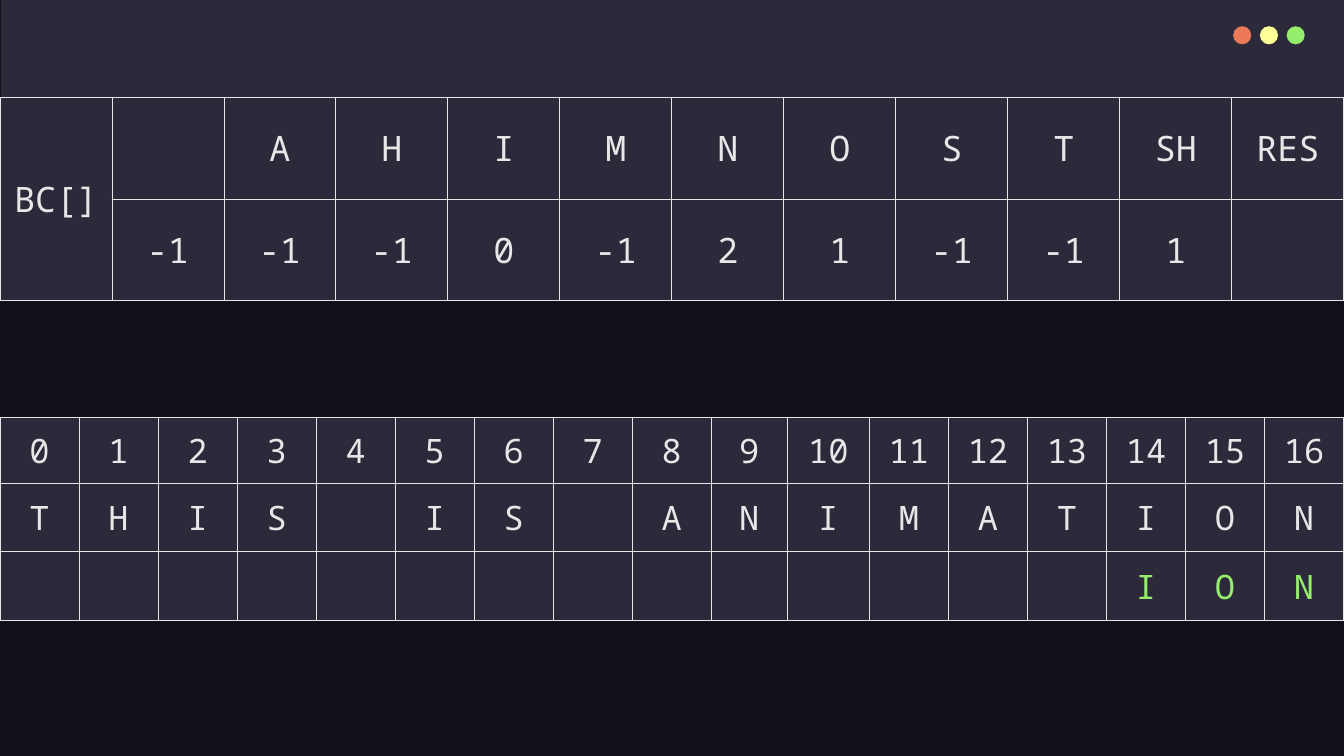
from lxml import etree
from pptx import Presentation
from pptx.dml.color import RGBColor
from pptx.enum.shapes import MSO_SHAPE
from pptx.enum.text import MSO_ANCHOR, PP_ALIGN
from pptx.oxml.ns import qn
from pptx.util import Inches, Pt

RECT, OVAL = MSO_SHAPE.RECTANGLE, MSO_SHAPE.OVAL
MIDDLE, CENTER = MSO_ANCHOR.MIDDLE, PP_ALIGN.CENTER

COLORS = {
    "back": "10111A", "panel": "2C293A", "light": "E7E7E7",
    "red": "EC7955", "yellow": "FFFF99", "green": "94EE6B",
}
BLANK_LAYOUT = 6


def rgb(name):
    return RGBColor.from_string(COLORS[name])


class Deck:
    """Style and current slide; lengths are percent of the slide's size."""
    font = "Noto Sans Mono"
    border = Pt(0.75)
    pad_x, pad_y = Inches(0.13), Inches(0.1)

    def __init__(self):
        self.prs = Presentation()
        self.prs.slide_width, self.prs.slide_height = Inches(13.33), Inches(7.5)
        self.s = self.prs.slides.add_slide(self.prs.slide_layouts[BLANK_LAYOUT])
        fill = self.s.background.fill
        fill.solid()
        fill.fore_color.rgb = rgb("back")

    def x(self, share):
        return round(self.prs.slide_width * share / 100)

    def y(self, share):
        return round(self.prs.slide_height * share / 100)

    def shape(self, kind, left, top, width, height, color):
        sp = self.s.shapes.add_shape(
            kind, self.x(left), self.y(top), self.x(width), self.y(height))
        sp.shadow.inherit = False
        sp.fill.solid()
        sp.fill.fore_color.rgb = rgb(color)
        sp.line.fill.background()

    def cell(self, cell, text, size, color):
        tcPr = cell._tc.get_or_add_tcPr()
        for side in ("a:lnL", "a:lnR", "a:lnT", "a:lnB"):
            ln = etree.SubElement(tcPr, qn(side), w=str(self.border))
            solid = etree.SubElement(ln, qn("a:solidFill"))
            etree.SubElement(solid, qn("a:srgbClr"), val=COLORS["light"])
        cell.fill.solid()
        cell.fill.fore_color.rgb = rgb("panel")
        cell.vertical_anchor = MIDDLE
        cell.margin_left = cell.margin_right = self.pad_x
        cell.margin_top = cell.margin_bottom = self.pad_y
        if text:
            p = cell.text_frame.paragraphs[0]
            p.alignment = CENTER
            r = p.add_run()
            r.text = text
            r.font.name, r.font.size = self.font, Pt(size)
            r.font.color.rgb = rgb(color)

    def table(self, top, rows, heights, weights, size, row_colors):
        """Full-width table whose columns share the slide by weight."""
        tbl = self.s.shapes.add_table(
            len(rows), len(weights), 0, self.y(top),
            self.x(100), self.y(sum(heights))).table
        tbl.first_row = tbl.horz_banding = False
        for col, weight in zip(tbl.columns, weights):
            col.width = self.x(100 * weight / sum(weights))
        for i, (texts, height, color) in enumerate(zip(rows, heights, row_colors)):
            tbl.rows[i].height = self.y(height)
            for j, text in enumerate(texts):
                self.cell(tbl.cell(i, j), text, size, color)
        return tbl


def main():
    deck = Deck()

    # Header panel with window buttons
    deck.shape(RECT, 0.08, 0, 99.92, 22.5, "panel")
    for i, color in enumerate(("red", "yellow", "green")):
        deck.shape(OVAL, 91.75 + 1.99 * i, 3.47, 1.35, 2.4, color)

    # Text with the pattern aligned below it
    sentence = [c.strip() for c in "THIS IS ANIMATION"]
    n = len(sentence)
    pattern = [""] * (n - 3) + list("ION")
    weights = [1] * n
    weights[9:11] = 0.96, 1.04
    deck.table(55.2, [[str(i) for i in range(n)], sentence, pattern],
               [8.67, 9.07, 9.07], weights, 24, ["light", "light", "green"])

    # Bad-character table
    letters = ["", *"AHIMNOST"]
    last = {c: i for i, c in enumerate("ION")}
    tbl = deck.table(
        12.93,
        [["BC[]", *letters, "SH", "RES"],
         ["", *(str(last.get(c, -1)) for c in letters), "1", ""]],
        [13.4, 13.4], [1] * 12, 25, ["light", "light"])
    tbl.cell(0, 0).merge(tbl.cell(1, 0))

    deck.prs.save("out.pptx")


if __name__ == "__main__":
    main()
